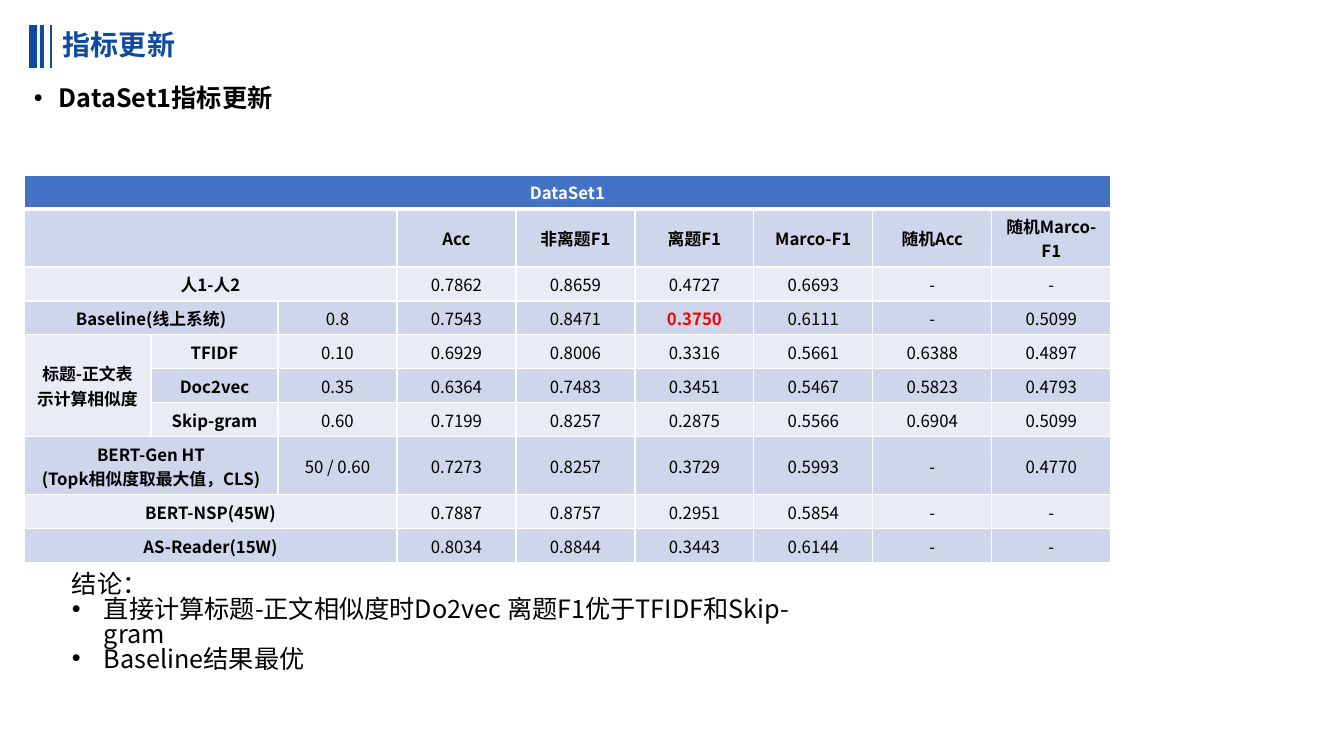
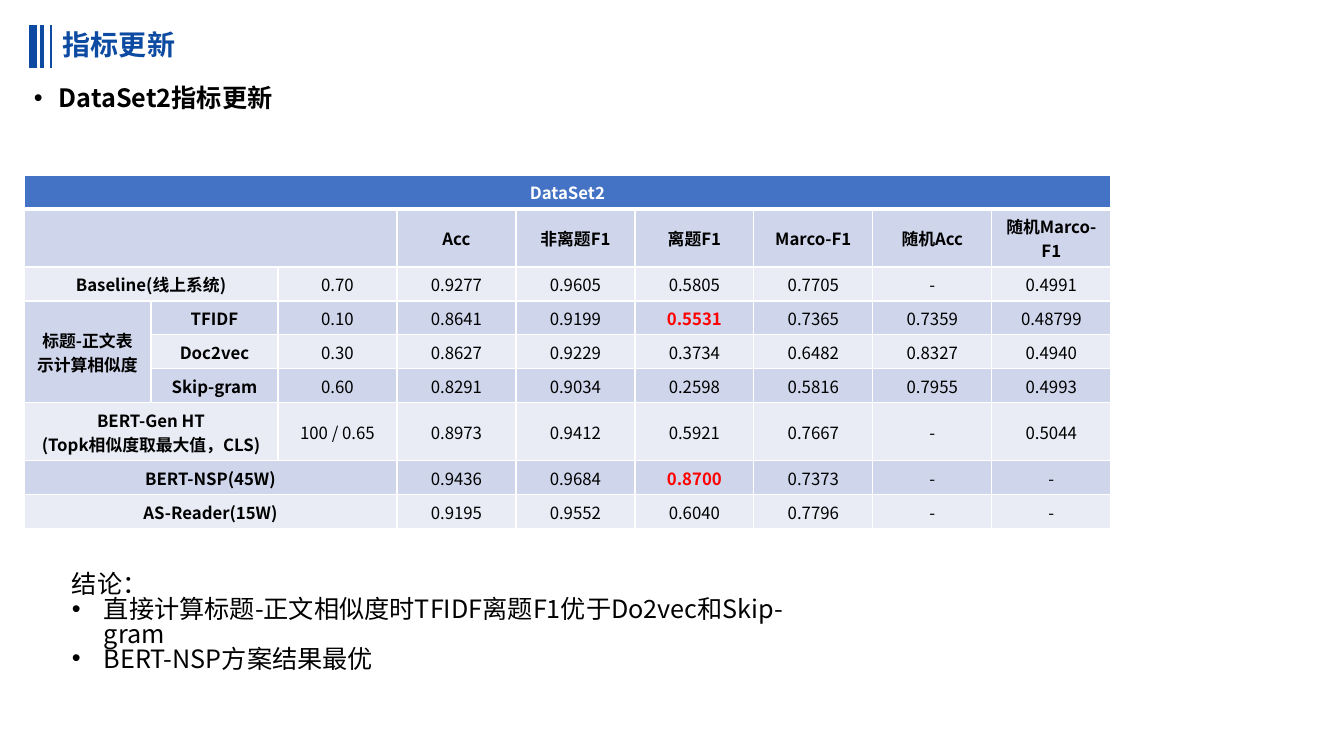
from lxml.etree import SubElement
from pptx import Presentation
from pptx.dml.color import RGBColor
from pptx.enum.shapes import MSO_CONNECTOR
from pptx.enum.text import MSO_ANCHOR, PP_ALIGN
from pptx.oxml.ns import qn
from pptx.util import Emu, Pt

# Content
TITLE = "指标更新"
LEFT, UP = "<", "^"  # cell belongs to its left or upper neighbour
HEADER = ["", LEFT, LEFT, "Acc", "非离题F1", "离题F1", "Marco-F1", "随机Acc", "随机Marco-F1"]
BASELINE = "Baseline(线上系统)"
SIMILARITY = "标题-正文表示计算相似度"
GENERATED = "BERT-Gen HT\n(Topk相似度取最大值，CLS)"
NSP, READER = "BERT-NSP(45W)", "AS-Reader(15W)"
DATASETS = [
    {
        "name": "DataSet1",
        "rows": [
            ["人1-人2", LEFT, LEFT, "0.7862", "0.8659", "0.4727", "0.6693", "-", "-"],
            [BASELINE, LEFT, "0.8", "0.7543", "0.8471", "0.3750", "0.6111", "-", "0.5099"],
            [SIMILARITY, "TFIDF", "0.10", "0.6929", "0.8006", "0.3316", "0.5661", "0.6388", "0.4897"],
            [UP, "Doc2vec", "0.35", "0.6364", "0.7483", "0.3451", "0.5467", "0.5823", "0.4793"],
            [UP, "Skip-gram", "0.60", "0.7199", "0.8257", "0.2875", "0.5566", "0.6904", "0.5099"],
            [GENERATED, LEFT, "50 / 0.60", "0.7273", "0.8257", "0.3729", "0.5993", "-", "0.4770"],
            [NSP, LEFT, LEFT, "0.7887", "0.8757", "0.2951", "0.5854", "-", "-"],
            [READER, LEFT, LEFT, "0.8034", "0.8844", "0.3443", "0.6144", "-", "-"],
        ],
        "highlights": {"0.3750"},
        "findings": ["直接计算标题-正文相似度时Do2vec 离题F1优于TFIDF和Skip-gram", "Baseline结果最优"],
    },
    {
        "name": "DataSet2",
        "rows": [
            [BASELINE, LEFT, "0.70", "0.9277", "0.9605", "0.5805", "0.7705", "-", "0.4991"],
            [SIMILARITY, "TFIDF", "0.10", "0.8641", "0.9199", "0.5531", "0.7365", "0.7359", "0.48799"],
            [UP, "Doc2vec", "0.30", "0.8627", "0.9229", "0.3734", "0.6482", "0.8327", "0.4940"],
            [UP, "Skip-gram", "0.60", "0.8291", "0.9034", "0.2598", "0.5816", "0.7955", "0.4993"],
            [GENERATED, LEFT, "100 / 0.65", "0.8973", "0.9412", "0.5921", "0.7667", "-", "0.5044"],
            [NSP, LEFT, LEFT, "0.9436", "0.9684", "0.8700", "0.7373", "-", "-"],
            [READER, LEFT, LEFT, "0.9195", "0.9552", "0.6040", "0.7796", "-", "-"],
        ],
        "highlights": {"0.5531", "0.8700"},
        "findings": ["直接计算标题-正文相似度时TFIDF离题F1优于Do2vec和Skip-gram", "BERT-NSP方案结果最优"],
    },
]

# Shared style
FONT = "Noto Sans CJK SC"
COLORS = {"title": "0C4BA1", "text": "000000", "white": "FFFFFF", "header": "4472C4",
          "dark_band": "CFD5EA", "light_band": "E9EBF5", "highlight": "FF0000"}
SLIDE_SIZE = (1344, 756)
TITLE_BARS = [(33, 6), (42, 3), (51, 1.5)]  # x in px, width in points
BAR_TOP, BAR_BOTTOM = 25, 68
TABLE_LEFT, TABLE_TOP = 24, 175
COLUMN_WIDTHS = [127] * 2 + [119] * 7
ROW_HEIGHT, TALL_ROW_HEIGHT = 34, 58


def px(length):
    return Emu(round(length * 12192000 / SLIDE_SIZE[0]))


def color(name):
    return RGBColor.from_string(COLORS[name])


def add_run(paragraph, text, size, color_name="text", bold=False):
    run = paragraph.add_run()
    run.text = text
    run.font.size = Pt(size)
    run.font.bold = bold
    run.font.name = FONT
    run.font.color.rgb = color(color_name)
    SubElement(run.font._element, qn("a:ea"), typeface=FONT)


def add_bullet(paragraph, indent):
    properties = paragraph._p.get_or_add_pPr()
    properties.set("marL", str(px(indent)))
    properties.set("indent", str(-px(indent)))
    SubElement(properties, qn("a:buFont"), typeface="Arial")
    SubElement(properties, qn("a:buChar"), char="•")


def add_text_frame(slide, left, top, width, height):
    frame = slide.shapes.add_textbox(px(left), px(top), px(width), px(height)).text_frame
    frame.word_wrap = True
    return frame


def add_title(slide):
    for x, width in TITLE_BARS:
        bar = slide.shapes.add_connector(MSO_CONNECTOR.STRAIGHT, px(x), px(BAR_TOP), px(x), px(BAR_BOTTOM))
        bar.line.color.rgb = color("title")
        bar.line.width = Pt(width)
        SubElement(bar._element.spPr, qn("a:effectLst"))
    frame = add_text_frame(slide, 53, 21, 699, 50)
    frame.vertical_anchor = MSO_ANCHOR.MIDDLE
    paragraph = frame.paragraphs[0]
    paragraph.line_spacing = 0.9
    add_run(paragraph, TITLE, 20, "title", True)


def add_subtitle(slide, text):
    paragraph = add_text_frame(slide, 24, 81, 1295, 613).paragraphs[0]
    paragraph.line_spacing = 0.9
    paragraph.space_before = Pt(10)
    add_bullet(paragraph, 25)
    add_run(paragraph, text, 18, bold=True)


def set_borders(cell, row_index):
    thick_side = {0: "lnB", 1: "lnT"}.get(row_index)
    for side in ("lnL", "lnR", "lnT", "lnB"):
        width = Pt(3 if side == thick_side else 1)
        line = SubElement(cell._tc.get_or_add_tcPr(), qn(f"a:{side}"), w=str(width))
        SubElement(SubElement(line, qn("a:solidFill")), qn("a:srgbClr"), val=COLORS["white"])


def fill_cell(cell, text, row_index, color_name, bold):
    set_borders(cell, row_index)
    band = "header" if row_index == 0 else "dark_band" if row_index % 2 else "light_band"
    cell.fill.solid()
    cell.fill.fore_color.rgb = color(band)
    cell.vertical_anchor = MSO_ANCHOR.MIDDLE
    if text in ("", LEFT, UP):
        return
    for index, line in enumerate(text.split("\n")):
        paragraph = cell.text_frame.add_paragraph() if index else cell.text_frame.paragraphs[0]
        paragraph.alignment = PP_ALIGN.CENTER
        add_run(paragraph, line, 12, color_name, bold)


def merge_cells(table, rows):
    for r, row in enumerate(rows):
        for c, text in enumerate(row):
            if text in (LEFT, UP):
                continue
            last_row, last_column = r, c
            while last_column + 1 < len(row) and row[last_column + 1] == LEFT:
                last_column += 1
            while last_row + 1 < len(rows) and rows[last_row + 1][c] == UP:
                last_row += 1
            if (last_row, last_column) != (r, c):
                table.cell(r, c).merge(table.cell(last_row, last_column))


def add_metric_table(slide, dataset):
    rows = [[dataset["name"]] + [LEFT] * (len(HEADER) - 1), HEADER] + dataset["rows"]
    heights = [TALL_ROW_HEIGHT if row is HEADER or GENERATED in row else ROW_HEIGHT for row in rows]
    table = slide.shapes.add_table(len(rows), len(HEADER), px(TABLE_LEFT), px(TABLE_TOP),
                                   px(sum(COLUMN_WIDTHS)), px(sum(heights))).table
    for column, width in zip(table.columns, COLUMN_WIDTHS):
        column.width = px(width)
    for r, (row, height) in enumerate(zip(rows, heights)):
        table.rows[r].height = px(height)
        for c, text in enumerate(row):
            marked = text in dataset["highlights"]
            color_name = "white" if r == 0 else "highlight" if marked else "text"
            fill_cell(table.cell(r, c), text, r, color_name, marked or r < 2 or c < 2)
    merge_cells(table, rows)


def add_conclusion(slide, findings):
    frame = add_text_frame(slide, 62, 569, 789, 102)
    for index, text in enumerate(["结论："] + findings):
        paragraph = frame.add_paragraph() if index else frame.paragraphs[0]
        paragraph.line_spacing = 0.82
        if index:
            add_bullet(paragraph, 32)
        add_run(paragraph, text, 18)


def main():
    presentation = Presentation()
    presentation.slide_width, presentation.slide_height = map(px, SLIDE_SIZE)
    for dataset in DATASETS:
        slide = presentation.slides.add_slide(presentation.slide_layouts[6])
        add_title(slide)
        add_subtitle(slide, dataset["name"] + TITLE)
        add_metric_table(slide, dataset)
        add_conclusion(slide, dataset["findings"])
    presentation.save("out.pptx")


if __name__ == "__main__":
    main()
